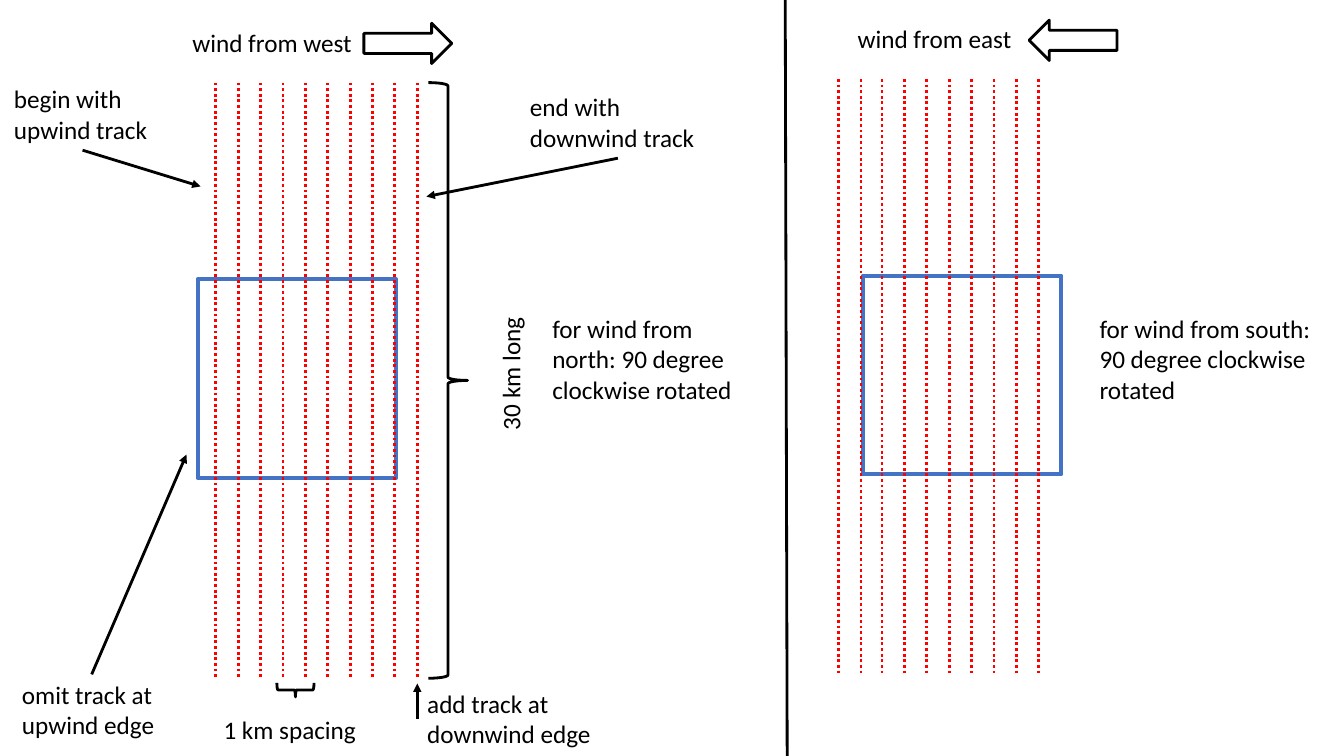
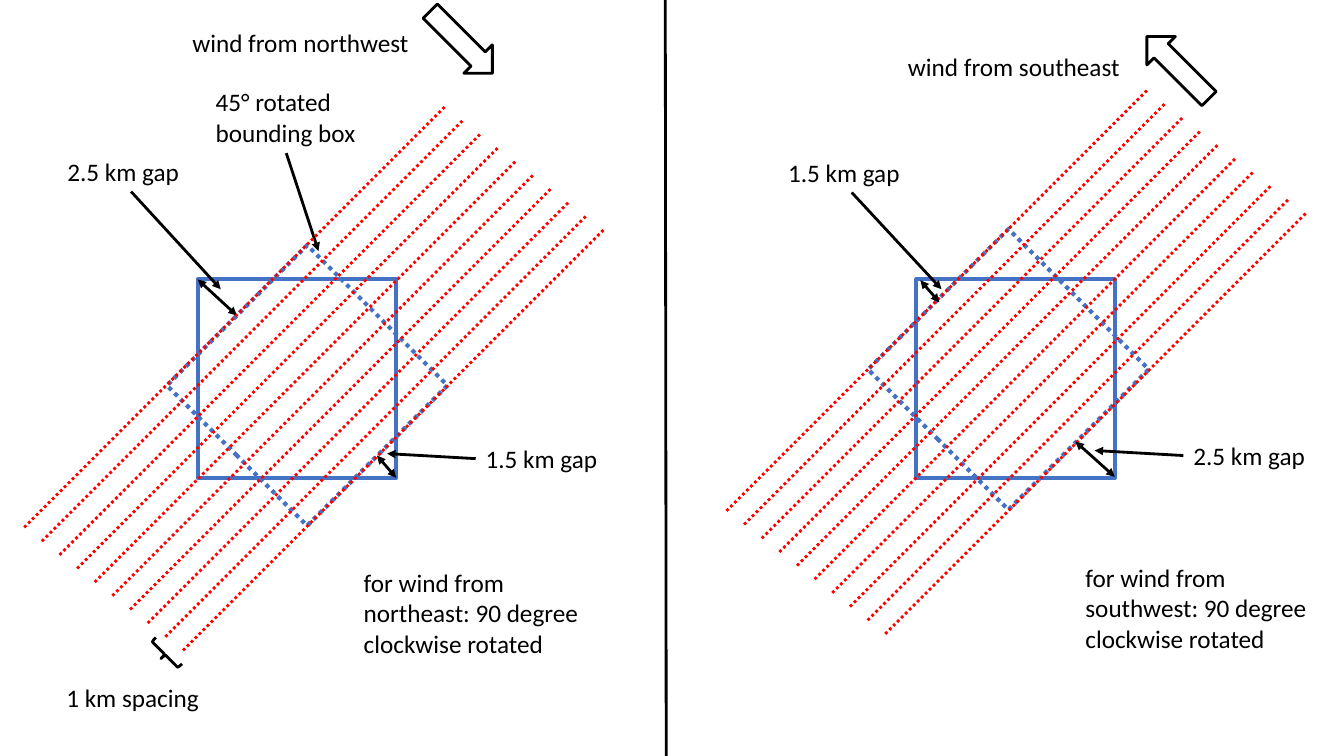
from dataclasses import dataclass

from lxml import etree
from pptx import Presentation
from pptx.dml.color import RGBColor
from pptx.enum.dml import MSO_LINE
from pptx.enum.shapes import MSO_CONNECTOR, MSO_SHAPE
from pptx.enum.text import MSO_AUTO_SIZE
from pptx.oxml.ns import qn
from pptx.slide import Slide
from pptx.util import Pt

RECTANGLE = MSO_SHAPE.RECTANGLE
BRACE = MSO_SHAPE.RIGHT_BRACE
ARROW = MSO_SHAPE.RIGHT_ARROW
STRAIGHT = MSO_CONNECTOR.STRAIGHT
DOTTED = MSO_LINE.ROUND_DOT

BLACK, BLUE, RED = "000000", "4472C4", "FF0000"
AREA_SIDE = 141.8
TRACK_COUNT = 10
FRAME_FORMAT = {"word_wrap": True, "auto_size": MSO_AUTO_SIZE.SHAPE_TO_FIT_TEXT}
FONT_FORMAT = {"name": "Calibri", "size": Pt(18)}


@dataclass(frozen=True)
class Label:
    text: str
    left: float
    top: float
    width: float
    lines: int = 1
    rotation: float = 0


@dataclass(frozen=True)
class Outline:
    kind: MSO_SHAPE
    left: float
    top: float
    width: float
    height: float
    rotation: float = 0
    color: str = BLACK
    weight: float = 2
    dotted: bool = False


@dataclass(frozen=True)
class Stroke:
    x1: float
    y1: float
    x2: float
    y2: float
    heads: tuple[str, ...] = ("tailEnd",)
    color: str = BLACK
    dotted: bool = False


@dataclass(frozen=True)
class Tracks:
    x: float
    y: float
    run: float
    rise: float
    step_x: float
    step_y: float = 0
    count: int = TRACK_COUNT


def rgb(color: str) -> RGBColor:
    return RGBColor.from_string(color)


def apply_format(target: object, values: dict[str, object]) -> None:
    for name, value in values.items():
        setattr(target, name, value)


def style_line(line: object, color: str, weight: float, dotted: bool) -> None:
    line.color.rgb = rgb(color)
    line.width = Pt(weight)
    if dotted:
        line.dash_style = DOTTED


def draw_label(slide: Slide, label: Label) -> None:
    height = 7 + 22 * label.lines
    box = slide.shapes.add_textbox(
        Pt(label.left), Pt(label.top), Pt(label.width), Pt(height)
    )
    box.rotation = label.rotation
    apply_format(box.text_frame, FRAME_FORMAT)
    span = box.text_frame.paragraphs[0].add_run()
    span.text = label.text
    apply_format(span.font, FONT_FORMAT)
    span.font.color.rgb = rgb(BLACK)


def draw_outline(slide: Slide, outline: Outline) -> None:
    shape = slide.shapes.add_shape(
        outline.kind, Pt(outline.left), Pt(outline.top),
        Pt(outline.width), Pt(outline.height),
    )
    shape.rotation = outline.rotation
    shape.shadow.inherit = False
    shape.fill.background()
    style_line(shape.line, outline.color, outline.weight, outline.dotted)


def draw_stroke(slide: Slide, stroke: Stroke) -> None:
    connector = slide.shapes.add_connector(
        STRAIGHT, Pt(stroke.x1), Pt(stroke.y1), Pt(stroke.x2), Pt(stroke.y2)
    )
    style_line(connector.line, stroke.color, 2, stroke.dotted)
    properties = connector.element.spPr
    line = properties.find(qn("a:ln"))
    for head in stroke.heads:
        etree.SubElement(line, qn(f"a:{head}"), type="triangle")
    etree.SubElement(properties, qn("a:effectLst"))


def draw_tracks(slide: Slide, tracks: Tracks) -> None:
    for index in range(tracks.count):
        x = tracks.x + index * tracks.step_x
        y = tracks.y + index * tracks.step_y
        draw_stroke(
            slide, Stroke(x, y, x + tracks.run, y + tracks.rise, (), RED, True)
        )


def area(left: float, top: float, rotation: float = 0) -> Outline:
    return Outline(
        RECTANGLE, left, top, AREA_SIDE, AREA_SIDE, rotation, BLUE, 3, rotation != 0
    )


def wind_arrow(left: float, top: float, rotation: float = 0) -> Outline:
    return Outline(ARROW, left, top, 62.8, 28.8, rotation)


def straight_tracks(x: float, y: float, count: int = TRACK_COUNT) -> Tracks:
    return Tracks(x, y, 0, 425, 16, count=count)


def diagonal_tracks(x: float, y: float) -> Tracks:
    return Tracks(x, y, -300.6, 300.6, 12.6, 9.76)


def divider(top_x: float, bottom_x: float) -> Stroke:
    return Stroke(top_x, 0, bottom_x, 540, ())


PAINTERS = {
    Label: draw_label,
    Outline: draw_outline,
    Stroke: draw_stroke,
    Tracks: draw_tracks,
}
BOTH_ENDS = ("headEnd", "tailEnd")

STRAIGHT_WINDS = [
    area(141.2, 199.6),
    straight_tracks(154.1, 59),
    Label("30 km long", 307.4, 242.6, 114.5, rotation=270),
    Label("1 km spacing", 152.6, 506.9, 114.5),
    Outline(BRACE, 206, 479.5, 10, 26.6, 90),
    Outline(BRACE, 306, 59, 28, 425.5),
    Label("omit track at upwind edge", 8.6, 481.7, 114.5, 2),
    Label("add track at downwind edge", 298.1, 488.2, 146.2, 2),
    Stroke(65.5, 481.7, 133.2, 324.7),
    Stroke(298.1, 513.4, 298.1, 488.2),
    Label("wind from west", 130.3, 15.8, 135.4),
    wind_arrow(259.9, 16.6),
    area(616.3, 197),
    straight_tracks(599, 56.4, 2),
    straight_tracks(630, 56.4, TRACK_COUNT - 2),
    Label("wind from east", 605.5, 13, 135.4),
    wind_arrow(735.1, 14.4, 180),
    Label("for wind from north: 90 degree clockwise rotated", 387.4, 220.3, 161.3, 3),
    Label("for wind from south: 90 degree clockwise rotated", 778.3, 220.3, 164.9, 3),
    divider(560.9, 562.3),
    Label("begin with upwind track", 2.9, 56.2, 111.6, 2),
    Stroke(59, 107.3, 143.3, 133.2),
    Label("end with downwind track", 371.5, 61.9, 139, 2),
    Stroke(441.4, 113, 304.6, 140.4),
]

DIAGONAL_WINDS = [
    area(148.5, 204.5, 45),
    area(141.2, 199.6),
    Label("wind from northwest", 130.3, 15.8, 175),
    wind_arrow(298.1, 15.8, 45),
    Label("wind from southeast", 641.5, 33.1, 175),
    wind_arrow(810, 33.8, 225),
    Label("for wind from northeast: 90 degree clockwise rotated", 252.7, 401.8, 176.4, 3),
    Label("for wind from southwest: 90 degree clockwise rotated", 768.2, 398.2, 176.4, 3),
    divider(475.2, 475.9),
    Label("1 km spacing", 40.3, 483.8, 113.8),
    Outline(BRACE, 113.8, 454.3, 8, 26.6, 135.2),
    Label("2.5 km gap", 41, 108, 104.4),
    Label("1.5 km gap", 339.8, 313.2, 104.4),
    Stroke(204.5, 109.4, 227.5, 179.3),
    Label("45° rotated bounding box", 146.9, 58.3, 115.9, 2),
    Stroke(141.2, 199.6, 169.2, 225.4, BOTH_ENDS),
    Stroke(93.6, 136.8, 157.7, 206.6),
    Stroke(269.3, 325.4, 283, 341.3, BOTH_ENDS),
    Stroke(339.8, 327.6, 276.5, 324),
    diagonal_tracks(317.6, 76.5),
    area(649.4, 193, 45),
    area(654.5, 199.6),
    diagonal_tracks(819.2, 64.7),
    Stroke(768.2, 315.4, 796.3, 340.6, BOTH_ENDS),
    Stroke(657.4, 200.2, 671, 216, BOTH_ENDS),
    Label("2.5 km gap", 845.3, 311, 104.4),
    Stroke(845.3, 325.4, 781.9, 321.8),
    Label("1.5 km gap", 555.8, 108.7, 104.4),
    Stroke(608.4, 137.5, 672.5, 206.6),
]

deck = Presentation()
deck.slide_width, deck.slide_height = Pt(960), Pt(540)
blank_layout = deck.slide_layouts[6]
for items in (STRAIGHT_WINDS, DIAGONAL_WINDS):
    page = deck.slides.add_slide(blank_layout)
    for item in items:
        PAINTERS[type(item)](page, item)
deck.save("out.pptx")
